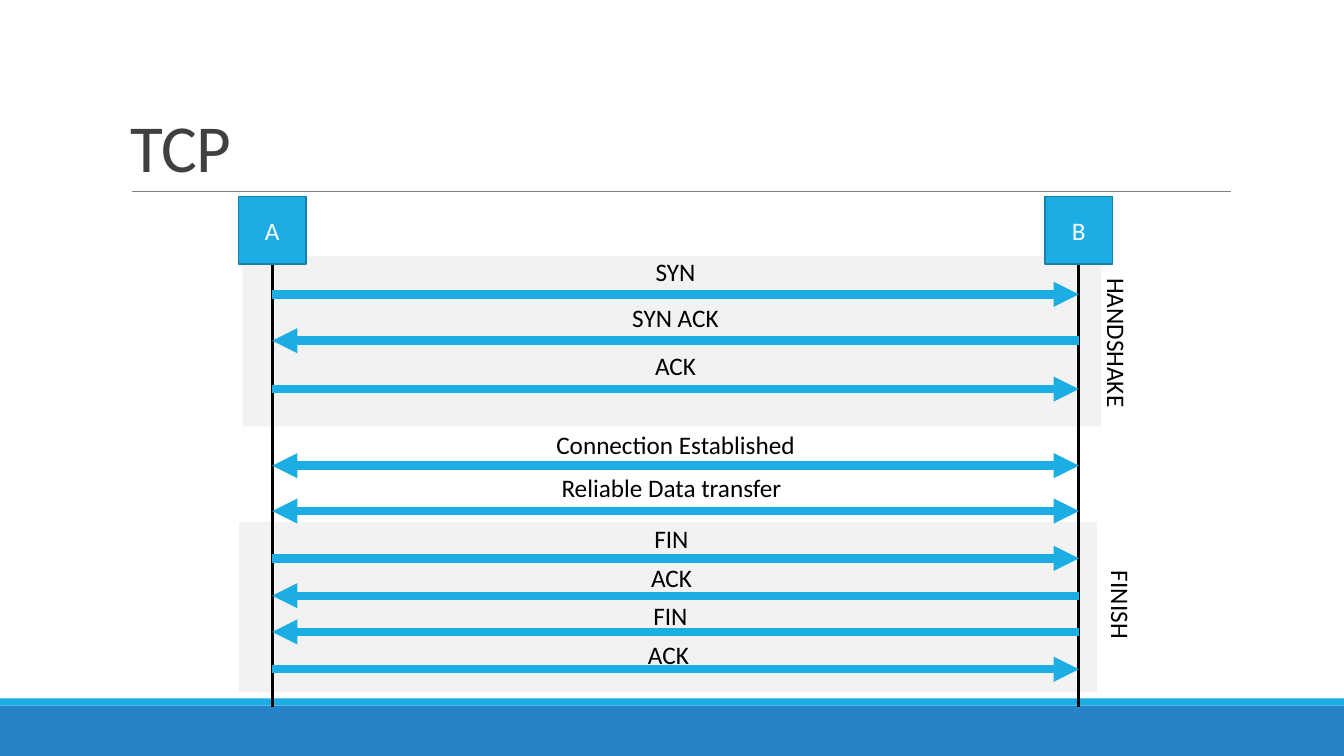
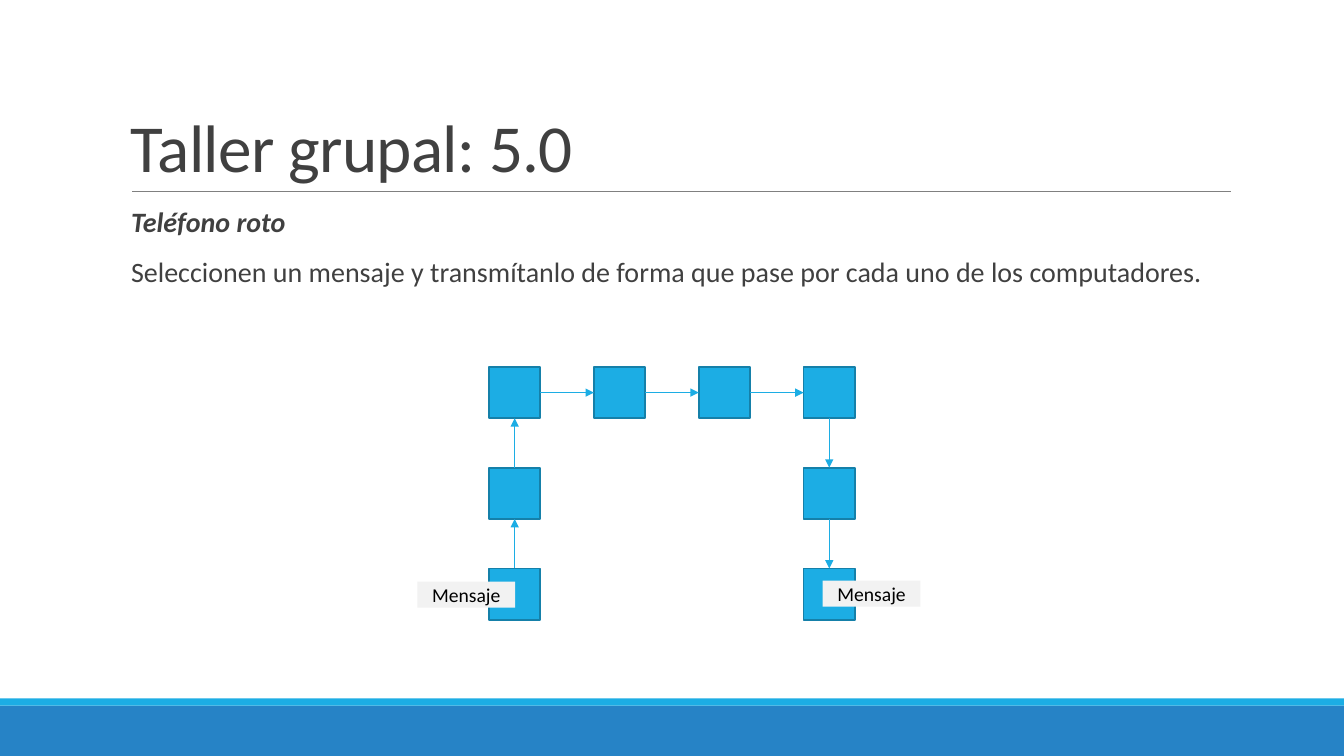
"""Build two slides: a TCP message sequence and a group message-passing workshop."""
import pptx
import pptx.dml.color
import pptx.enum.shapes
import pptx.enum.text
import pptx.oxml
import pptx.oxml.ns
import pptx.util

WIDTH, HEIGHT = 13.33, 7.5
FONT = "Calibri"
COLORS = {"band": "2683C6", "accent": "1CADE4", "edge": "1580A9", "rule": "808080",
          "panel": "F2F2F2", "heading": "404040", "black": "000000", "white": "FFFFFF"}
ALIGN = pptx.enum.text.PP_ALIGN
ANCHOR = pptx.enum.text.MSO_ANCHOR

TCP_TITLE = "TCP"
HOSTS = [("A", 2.7), ("B", 10.7)]
HOST_TOP, HOST_SIZE, LIFELINE_END = 1.95, 0.67, 7.01
PANEL_SIZE = (8.51, 1.69)
PHASES = [("FINISH", (2.37, 5.18), (10.36, 5.8), ALIGN.CENTER),
          ("HANDSHAKE", (2.41, 2.54), (10.32, 3.22), ALIGN.LEFT)]
MESSAGES = [
    ("SYN", 6.7, 2.49, 2.92, "right"),
    ("SYN ACK", 6.7, 2.95, 3.38, "left"),
    ("ACK", 6.7, 3.43, 3.86, "right"),
    ("Connection Established", 6.7, 4.21, 4.62, "both"),
    ("Reliable Data transfer", 6.66, 4.64, 5.07, "both"),
    ("FIN", 6.66, 5.14, 5.54, "right"),
    ("ACK", 6.66, 5.53, 5.91, "left"),
    ("FIN", 6.65, 5.91, 6.27, "left"),
    ("ACK", 6.63, 6.29, 6.64, "right"),
]

WORKSHOP_TITLE = "Taller grupal: 5.0"
GAME = "Teléfono roto"
TASK = "Seleccionen un mensaje y transmítanlo de forma que pase por cada uno de los computadores."
ROUTE = [(0, 2), (0, 1), (0, 0), (1, 0), (2, 0), (3, 0), (3, 1), (3, 2)]
GRID_LEFT, GRID_TOP, COLUMN_STEP, ROW_STEP, CELL = 4.85, 3.64, 1.04, 1.0, 0.51
NOTE = "Mensaje"
NOTE_SPOTS = [(4.14, 5.77), (8.16, 5.76)]
NOTE_SIZE = (0.97, 0.26)


def inches(*lengths):
    return [pptx.util.Inches(length) for length in lengths]


def color(name):
    return pptx.dml.color.RGBColor.from_string(COLORS[name])


def write(shape, *lines, size=18, ink="black", align=ALIGN.CENTER, anchor=ANCHOR.TOP,
          leading=None, before=0, after=0, spacing=None, insets=None, strong_first=False):
    frame = shape.text_frame
    frame.word_wrap = True
    frame.vertical_anchor = anchor
    if insets:
        (frame.margin_left, frame.margin_top,
         frame.margin_right, frame.margin_bottom) = inches(*insets)
    for index, text in enumerate(lines):
        para = frame.add_paragraph() if index else frame.paragraphs[0]
        para.alignment = align
        para.line_spacing = leading
        para.space_before, para.space_after = pptx.util.Pt(before), pptx.util.Pt(after)
        span = para.add_run()
        span.text = text
        span.font.name, span.font.size = FONT, pptx.util.Pt(size)
        span.font.color.rgb = color(ink)
        span.font.bold = span.font.italic = strong_first and index == 0
        if spacing is not None:
            span.font._element.set("spc", str(int(spacing * 100)))


def add_text(page, place, *lines, turn=0, **style):
    box = page.shapes.add_textbox(*inches(*place))
    box.rotation = turn
    write(box, *lines, **style)


def add_box(page, place, fill, edge=None):
    box = page.shapes.add_shape(pptx.enum.shapes.MSO_SHAPE.RECTANGLE, *inches(*place))
    box.shadow.inherit = False
    box.fill.solid()
    box.fill.fore_color.rgb = color(fill)
    if edge:
        box.line.color.rgb = color(edge)
        box.line.width = pptx.util.Pt(1.25)
    else:
        box.line.fill.background()
    return box


def add_line(page, start, end, ink, weight, ends=()):
    line = page.shapes.add_connector(pptx.enum.shapes.MSO_CONNECTOR.STRAIGHT,
                                     *inches(*start, *end))
    line.line.color.rgb = color(ink)
    line.line.width = pptx.util.Pt(weight)
    outline = line.line._get_or_add_ln()
    for name in ends:
        tip = pptx.oxml.parse_xml(f'<a:{name} {pptx.oxml.ns.nsdecls("a")} type="triangle"/>')
        outline.append(tip)
    line._element.spPr.append(
        pptx.oxml.parse_xml(f'<a:effectLst {pptx.oxml.ns.nsdecls("a")}/>'))


def add_page(deck, title):
    page = deck.slides.add_slide(deck.slide_layouts[6])
    add_box(page, (0, 7, WIDTH, 0.5), "band")
    add_box(page, (0, 6.93, WIDTH, 0.07), "accent")
    add_line(page, (1.31, 1.9), (12.21, 1.9), "rule", 0.5)
    add_text(page, (1.2, 0.31, 11, 1.59), title, size=48, ink="heading", align=ALIGN.LEFT,
             anchor=ANCHOR.BOTTOM, leading=0.85, spacing=-0.5)
    return page


def build_sequence(deck):
    page = add_page(deck, TCP_TITLE)
    for phase, corner, label_corner, align in PHASES:
        add_box(page, (*corner, *PANEL_SIZE), "panel")
    for host, center in HOSTS:
        add_line(page, (center, HOST_TOP + HOST_SIZE), (center, LIFELINE_END), "black", 2.25)
    left, right = (center for host, center in HOSTS)
    for label, center, top, level, direction in MESSAGES:
        start, end = (right, left) if direction == "left" else (left, right)
        ends = ("headEnd", "tailEnd") if direction == "both" else ("tailEnd",)
        add_line(page, (start, level), (end, level), "accent", 6, ends)
    for host, center in HOSTS:
        box = add_box(page, (center - HOST_SIZE / 2, HOST_TOP, HOST_SIZE, HOST_SIZE),
                      "accent", "edge")
        write(box, host, ink="white", anchor=ANCHOR.MIDDLE)
    for label, center, top, level, direction in MESSAGES:
        width = 3.09 if direction == "both" else 1.23
        add_text(page, (center - width / 2, top, width, 0.4), label)
    for phase, corner, label_corner, align in PHASES:
        add_text(page, (*label_corner, 1.52, 0.4), phase, turn=90, align=align)


def build_workshop(deck):
    page = add_page(deck, WORKSHOP_TITLE)
    add_text(page, (1.3, 2.02, 10.9, 4.4), GAME, TASK, size=20, ink="heading",
             align=ALIGN.LEFT, leading=0.9, before=12, after=2,
             insets=(0, 0.05, 0, 0.05), strong_first=True)
    corners = [(GRID_LEFT + column * COLUMN_STEP, GRID_TOP + row * ROW_STEP)
               for column, row in ROUTE]
    for corner in corners:
        add_box(page, (*corner, CELL, CELL), "accent", "edge")
    for spot in NOTE_SPOTS:
        write(add_box(page, (*spot, *NOTE_SIZE), "panel"), NOTE, size=14, anchor=ANCHOR.MIDDLE)
    half = CELL / 2
    hops = zip(ROUTE, ROUTE[1:], corners, corners[1:])
    for (column, row), (next_column, next_row), (x, y), (next_x, next_y) in hops:
        across, down = (next_column - column) * half, (next_row - row) * half
        add_line(page, (x + half + across, y + half + down),
                 (next_x + half - across, next_y + half - down), "accent", 1, ("tailEnd",))


deck = pptx.Presentation()
deck.slide_width, deck.slide_height = inches(WIDTH, HEIGHT)
build_sequence(deck)
build_workshop(deck)
deck.save("out.pptx")
